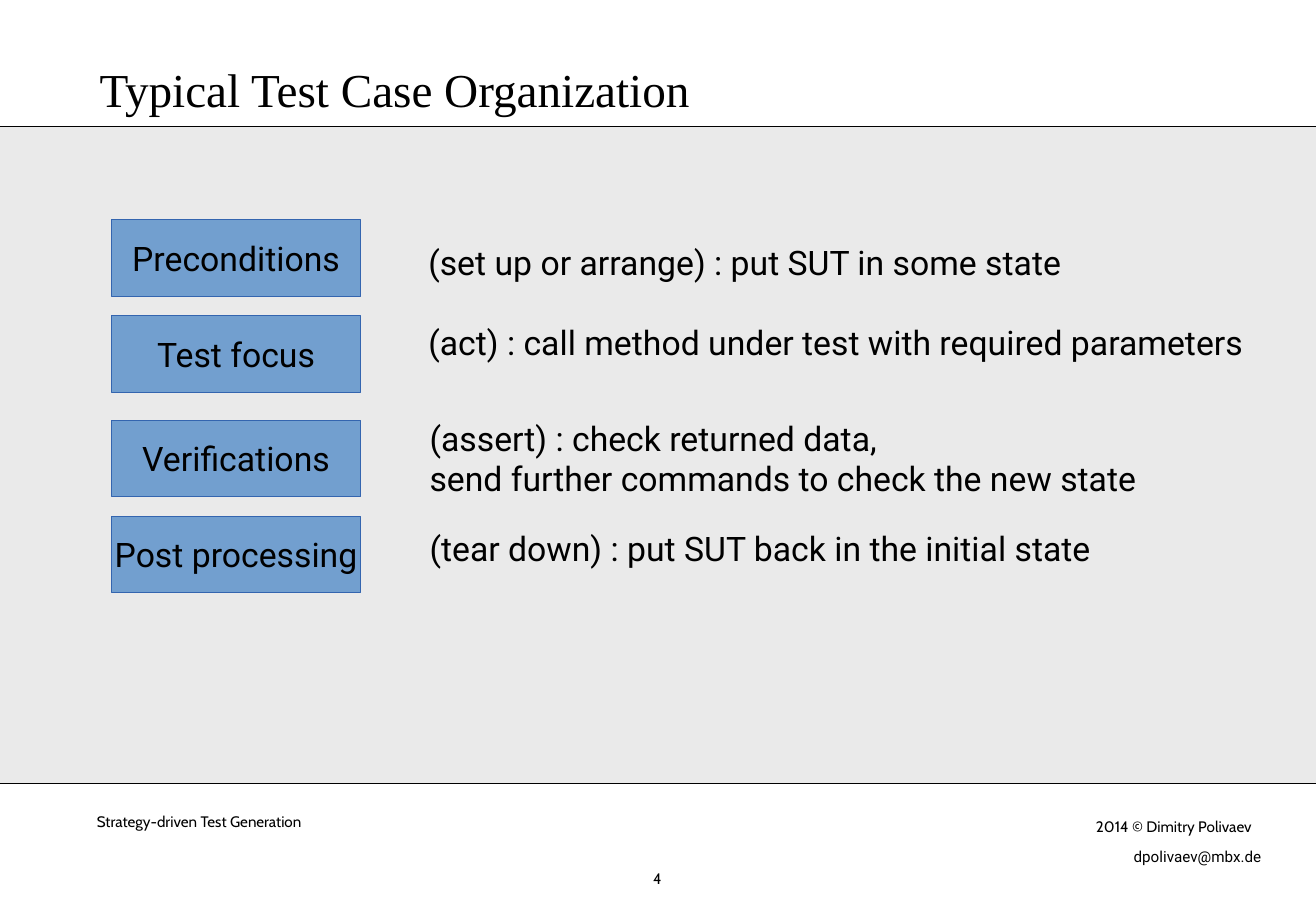
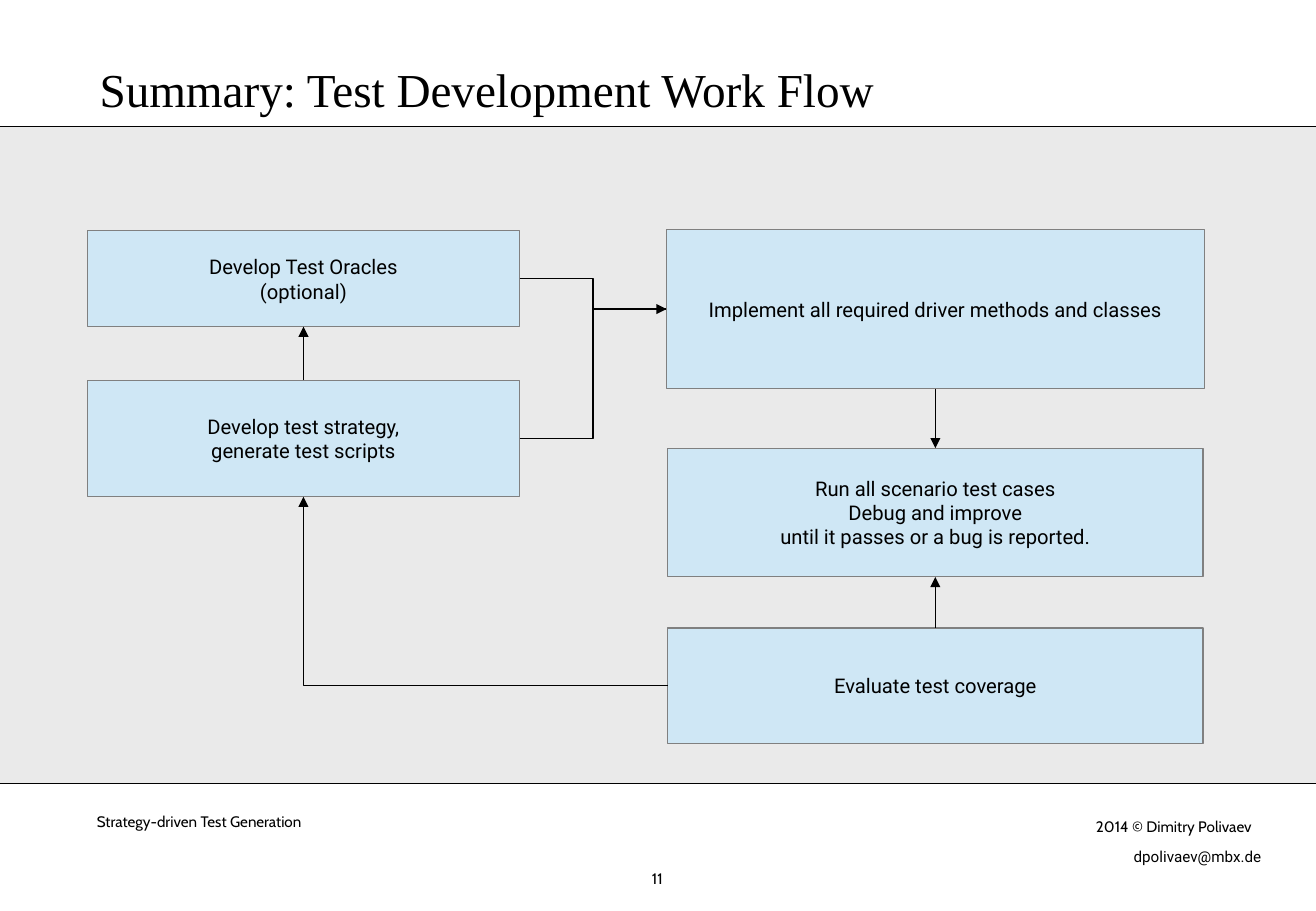
from dataclasses import dataclass

from lxml import etree
from pptx import Presentation
from pptx import util as u
from pptx.dml.color import RGBColor
from pptx.enum import shapes, text
from pptx.oxml import ns

BLACK = RGBColor(0x00, 0x00, 0x00)
WHITE = RGBColor(0xFF, 0xFF, 0xFF)
PANEL = RGBColor(0xEA, 0xEA, 0xEA)
STEP_FILL = RGBColor(0x72, 0x9F, 0xCF)
STEP_LINE = RGBColor(0x34, 0x65, 0xAF)
FLOW_FILL = RGBColor(0xCF, 0xE7, 0xF5)
FLOW_LINE = RGBColor(0x80, 0x80, 0x80)

TITLE_FONT, BODY_FONT, FOOTER_FONT = "Times New Roman", "Roboto", "Cabin"
WIDTH, HEIGHT = 10.84, 7.5
PANEL_TOP, PANEL_BOTTOM = 1.04, 6.45
TOP, LEFT, BOTTOM, RIGHT = range(4)
RECT = shapes.MSO_SHAPE.RECTANGLE
PROCESS = shapes.MSO_SHAPE.FLOWCHART_PROCESS


@dataclass(frozen=True)
class Box:
    left: float
    top: float
    width: float
    height: float

    def lengths(self) -> tuple:
        return tuple(u.Inches(v) for v in (self.left, self.top, self.width, self.height))


@dataclass(frozen=True)
class Style:
    font: str = BODY_FONT
    size: float = 20
    align: text.PP_ALIGN = text.PP_ALIGN.LEFT
    anchor: text.MSO_ANCHOR = text.MSO_ANCHOR.TOP
    inset: bool = True
    wrap: bool = True
    spacing: float = 1.0


@dataclass(frozen=True)
class Look:
    fill: RGBColor
    line: RGBColor
    line_width: float
    size: float


@dataclass(frozen=True)
class Step:
    name: str
    top: float
    description: str
    text_left: float
    text_top: float
    text_height: float = 0.43


@dataclass(frozen=True)
class Node:
    key: str
    label: str
    box: Box
    shape: shapes.MSO_SHAPE = PROCESS


@dataclass(frozen=True)
class Link:
    start: str
    start_side: int
    end: str
    end_side: int
    preset: str = "line"
    arrow: bool = True
    width: float = 0.75


TITLE = Style(TITLE_FONT, 28, anchor=text.MSO_ANCHOR.BOTTOM, inset=False, spacing=0.8)
FOOTER = Style(FOOTER_FONT, 9)
EMAIL = Style(BODY_FONT, 9)
PAGE = Style(FOOTER_FONT, 9, text.PP_ALIGN.CENTER, inset=False)
STEP_LOOK = Look(STEP_FILL, STEP_LINE, 0, 20)
FLOW_LOOK = Look(FLOW_FILL, FLOW_LINE, 0.75, 12)

FOOTERS = (
    ("Strategy-driven Test Generation", Box(0.7, 6.64, 3.37, 0.25), FOOTER),
    ("2014 © Dimitry Polivaev", Box(8.93, 6.68, 1.6, 0.25), FOOTER),
    ("dpolivaev@mbx.de", Box(9.24, 6.93, 1.4, 0.25), EMAIL),
)

STEPS = (
    Step("Preconditions", 1.81, "(set up or arrange) : put SUT in some state", 3.43, 1.94),
    Step("Test focus", 2.6, "(act) : call method under test with required parameters", 3.43, 2.6),
    Step("Verifications", 3.46,
         "(assert) : check returned data,\vsend further commands to check the new state",
         3.44, 3.39, 0.77),
    Step("Post processing", 4.25, "(tear down) : put SUT back in the initial state", 3.44, 4.3),
)

NODES = (
    Node("oracles", "Develop Test Oracles\v(optional)", Box(0.72, 1.9, 3.56, 0.79)),
    Node("strategy", "Develop test strategy,\vgenerate test scripts", Box(0.72, 3.13, 3.56, 0.96)),
    Node("drivers", "Implement all required driver methods and classes",
         Box(5.49, 1.89, 4.43, 1.31)),
    Node("run", "Run all scenario test cases\nDebug and improve\n"
         "until it passes or a bug is reported.", Box(5.5, 3.69, 4.41, 1.06), RECT),
    Node("coverage", "Evaluate test coverage", Box(5.5, 5.17, 4.41, 0.95), RECT),
)

LINKS = (
    Link("drivers", BOTTOM, "run", TOP),
    Link("coverage", TOP, "run", BOTTOM),
    Link("strategy", TOP, "oracles", BOTTOM),
    Link("strategy", RIGHT, "drivers", LEFT, "bentConnector3"),
    Link("oracles", RIGHT, "drivers", LEFT, "bentConnector3", False, 0.85),
    Link("coverage", LEFT, "strategy", BOTTOM, "bentConnector2"),
)


def write(sp, words: str, style: Style) -> None:
    tf = sp.text_frame
    tf.text = words
    tf.word_wrap = style.wrap
    tf.vertical_anchor = style.anchor
    tf.margin_left = tf.margin_right = u.Inches(0.1 if style.inset else 0)
    tf.margin_top = tf.margin_bottom = u.Inches(0.05 if style.inset else 0)
    for p in tf.paragraphs:
        p.alignment = style.align
        p.line_spacing = style.spacing
        for r in p.runs:
            r.font.name = style.font
            r.font.size = u.Pt(style.size)
            r.font.color.rgb = BLACK


def add_text(s, words: str, box: Box, style: Style) -> None:
    write(s.shapes.add_textbox(*box.lengths()), words, style)


def add_filled(s, box: Box, fill: RGBColor, kind=RECT):
    sp = s.shapes.add_shape(kind, *box.lengths())
    sp.shadow.inherit = False
    sp.fill.solid()
    sp.fill.fore_color.rgb = fill
    sp.line.fill.background()
    return sp


def add_box(s, words: str, box: Box, look: Look, kind=RECT):
    sp = add_filled(s, box, look.fill, kind)
    sp.line.color.rgb = look.line
    sp.line.width = u.Pt(look.line_width)
    write(sp, words, Style(size=look.size, align=text.PP_ALIGN.CENTER,
                           anchor=text.MSO_ANCHOR.MIDDLE, wrap=False))
    return sp


def style_line(cx, width: float, arrow: bool = False) -> None:
    cx.line.color.rgb = BLACK
    cx.line.width = u.Pt(width)
    if arrow:
        tail = etree.SubElement(cx.line._get_or_add_ln(), ns.qn("a:tailEnd"))
        tail.set("type", "triangle")
    etree.SubElement(cx._element.spPr, ns.qn("a:effectLst"))


def add_rule(s, top: float) -> None:
    cx = s.shapes.add_connector(shapes.MSO_CONNECTOR.STRAIGHT, 0, u.Inches(top),
                                u.Inches(WIDTH), u.Inches(top))
    style_line(cx, 0.75)


def add_link(s, link: Link, placed: dict) -> None:
    straight = link.preset == "line"
    kind = shapes.MSO_CONNECTOR.STRAIGHT if straight else shapes.MSO_CONNECTOR.ELBOW
    cx = s.shapes.add_connector(kind, 0, 0, 0, 0)
    cx.begin_connect(placed[link.start], link.start_side)
    cx.end_connect(placed[link.end], link.end_side)
    cx._element.spPr.find(ns.qn("a:prstGeom")).set("prst", link.preset)
    style_line(cx, link.width, link.arrow)


def add_slide(prs, title: str, number: int):
    s = prs.slides.add_slide(prs.slide_layouts[6])
    s.background.fill.solid()
    s.background.fill.fore_color.rgb = WHITE
    add_filled(s, Box(0, PANEL_TOP, WIDTH, PANEL_BOTTOM - PANEL_TOP), PANEL)
    for top in (PANEL_TOP, PANEL_BOTTOM):
        add_rule(s, top)
    for words, box, style in FOOTERS:
        add_text(s, words, box, style)
    add_text(s, str(number), Box(5.11, 7.16, 0.61, 0.17), PAGE)
    add_text(s, title, Box(0.82, 0.47, 9.19, 0.49), TITLE)
    return s


def build_organization(prs) -> None:
    s = add_slide(prs, "Typical Test Case Organization", 4)
    for step in STEPS:
        add_box(s, step.name, Box(0.92, step.top, 2.05, 0.63), STEP_LOOK)
        add_text(s, step.description,
                 Box(step.text_left, step.text_top, 7.4, step.text_height), Style())


def build_work_flow(prs) -> None:
    s = add_slide(prs, "Summary: Test Development Work Flow", 11)
    placed = {n.key: add_box(s, n.label, n.box, FLOW_LOOK, n.shape) for n in NODES}
    for link in LINKS:
        add_link(s, link, placed)


def main() -> None:
    prs = Presentation()
    prs.slide_width, prs.slide_height = u.Inches(WIDTH), u.Inches(HEIGHT)
    build_organization(prs)
    build_work_flow(prs)
    prs.save("out.pptx")


if __name__ == "__main__":
    main()
